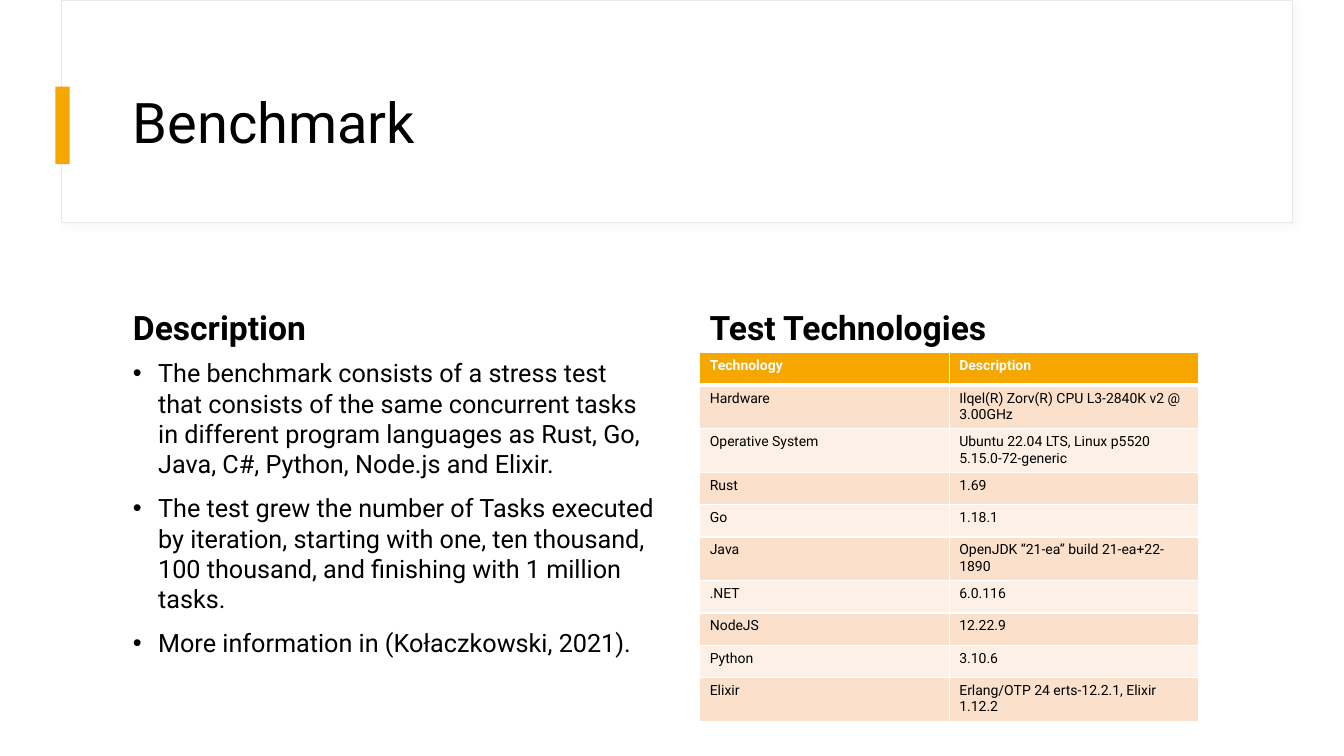
from dataclasses import dataclass

from lxml import etree
from pptx import Presentation
from pptx.dml.color import RGBColor
from pptx.enum.shapes import MSO_SHAPE
from pptx.enum.text import MSO_ANCHOR
from pptx.oxml.ns import qn
from pptx.util import Inches, Pt

RECTANGLE = MSO_SHAPE.RECTANGLE
TOP, MIDDLE, BOTTOM = MSO_ANCHOR.TOP, MSO_ANCHOR.MIDDLE, MSO_ANCHOR.BOTTOM


@dataclass(frozen=True)
class Theme:
    font: str = "Roboto"
    ink: str = "000000"
    paper: str = "FFFFFF"
    accent: str = "F5A700"
    frame: str = "E9E9E9"
    shadow: str = "D9D9D9"
    bands: tuple = ("FBE1CC", "FDF1E7")
    title: int = 40
    heading: int = 24
    body: int = 18
    table: int = 10


THEME = Theme()

SLIDE_WIDTH, SLIDE_HEIGHT = 13.33, 7.5
MARGIN = 1.22
COLUMN_WIDTH, GUTTER = 5.38, 0.34
HEADING_TOP, HEADING_HEIGHT = 2.59, 0.9
CONTENT_TOP = 3.5
TABLE_WIDTH, ROW_HEIGHT = 4.95, 0.32

BULLETS = (
    "The benchmark consists of a stress test that consists of the same concurrent "
    "tasks in different program languages as Rust, Go, Java, C#, Python, Node.js and Elixir.",
    "The test grew the number of Tasks executed by iteration, starting with one, "
    "ten thousand, 100 thousand, and finishing with 1 million tasks.",
    "More information in (Kołaczkowski, 2021).",
)

TECHNOLOGIES = (
    ("Technology", "Description"),
    ("Hardware", "Ilqel(R) Zorv(R) CPU L3-2840K v2 @ 3.00GHz"),
    ("Operative System", "Ubuntu 22.04 LTS, Linux p5520 5.15.0-72-generic"),
    ("Rust", "1.69"),
    ("Go", "1.18.1"),
    ("Java", "OpenJDK “21-ea” build 21-ea+22-1890"),
    (".NET", "6.0.116"),
    ("NodeJS", "12.22.9"),
    ("Python", "3.10.6"),
    ("Elixir", "Erlang/OTP 24 erts-12.2.1, Elixir 1.12.2"),
)


def column_left(index):
    return MARGIN + index * (COLUMN_WIDTH + GUTTER)


def box(left, top, width, height):
    return [Inches(length) for length in (left, top, width, height)]


def add_child(parent, tag, **attributes):
    return etree.SubElement(parent, qn(tag), attributes)


def add_run(paragraph, text, size, color=THEME.ink, bold=False):
    run = paragraph.add_run()
    run.text = text
    run.font.name = THEME.font
    run.font.size = Pt(size)
    run.font.bold = bold
    run.font.color.rgb = RGBColor.from_string(color)


def add_panel(slide, area, fill, outline=None):
    panel = slide.shapes.add_shape(RECTANGLE, *box(*area))
    panel.shadow.inherit = False
    panel.fill.solid()
    panel.fill.fore_color.rgb = RGBColor.from_string(fill)
    if outline:
        panel.line.color.rgb = RGBColor.from_string(outline)
        panel.line.width = Pt(0.75)
    else:
        panel.line.fill.background()
    return panel


def cast_shadow(panel):
    """Give the panel a soft shadow towards the lower right."""
    effects = panel._element.spPr.find(qn("a:effectLst"))
    shadow = add_child(effects, "a:outerShdw", blurRad=str(Pt(4)), dist=str(Pt(3)),
                       dir="2700000", algn="tl", rotWithShape="0")
    color = add_child(shadow, "a:srgbClr", val=THEME.shadow)
    add_child(color, "a:alpha", val="15000")


def add_text(slide, area, texts, size, anchor=TOP, spacing=1.0, bold=False, bulleted=False):
    frame = slide.shapes.add_textbox(*box(*area)).text_frame
    frame.word_wrap = True
    frame.vertical_anchor = anchor
    for index, text in enumerate(texts):
        paragraph = frame.add_paragraph() if index else frame.paragraphs[0]
        if bulleted:
            add_bullet(paragraph)
        paragraph.line_spacing = spacing
        if index:
            paragraph.space_before = Pt(10)
        add_run(paragraph, text, size, bold=bold)


def add_bullet(paragraph):
    properties = paragraph._p.get_or_add_pPr()
    properties.set("marL", str(Inches(0.25)))
    properties.set("indent", str(-Inches(0.25)))
    add_child(properties, "a:buFont", typeface="Arial")
    add_child(properties, "a:buChar", char="•")


def add_heading(slide, column, text):
    area = (column_left(column), HEADING_TOP, COLUMN_WIDTH, HEADING_HEIGHT)
    add_text(slide, area, [text], THEME.heading, BOTTOM, spacing=1.1, bold=True)


def style_cell(cell, fill, top, bottom):
    """Border widths are in points; borders must come before the fill."""
    properties = cell._tc.get_or_add_tcPr()
    for side, width in (("L", 1), ("R", 1), ("T", top), ("B", bottom)):
        border = add_child(properties, f"a:ln{side}", w=str(Pt(width)))
        add_child(add_child(border, "a:solidFill"), "a:srgbClr", val=THEME.paper)
    cell.fill.solid()
    cell.fill.fore_color.rgb = RGBColor.from_string(fill)


def add_technology_table(slide, left, top):
    row_count, column_count = len(TECHNOLOGIES), len(TECHNOLOGIES[0])
    area = box(left, top, TABLE_WIDTH, row_count * ROW_HEIGHT)
    table = slide.shapes.add_table(row_count, column_count, *area).table
    for row, values in enumerate(TECHNOLOGIES):
        header = row == 0
        fill = THEME.accent if header else THEME.bands[(row - 1) % 2]
        color = THEME.paper if header else THEME.ink
        for column, text in enumerate(values):
            cell = table.cell(row, column)
            style_cell(cell, fill, top=3 if row == 1 else 1, bottom=3 if header else 1)
            add_run(cell.text_frame.paragraphs[0], text, THEME.table, color, bold=header)


def main():
    deck = Presentation()
    deck.slide_width, deck.slide_height = Inches(SLIDE_WIDTH), Inches(SLIDE_HEIGHT)
    slide = deck.slides.add_slide(deck.slide_layouts[6])

    cast_shadow(add_panel(slide, (0.61, 0, 12.21, 2.21), THEME.paper, THEME.frame))
    add_panel(slide, (0.55, 0.86, 0.14, 0.77), THEME.accent)
    title_width = 2 * COLUMN_WIDTH + GUTTER
    add_text(slide, (MARGIN, 0.6, title_width, 1.29), ["Benchmark"],
             THEME.title, MIDDLE, spacing=0.9)

    add_heading(slide, 0, "Description")
    add_text(slide, (column_left(0), CONTENT_TOP, COLUMN_WIDTH, 3.25), BULLETS,
             THEME.body, bulleted=True)

    add_heading(slide, 1, "Test Technologies")
    add_technology_table(slide, column_left(1), CONTENT_TOP)
    deck.save("out.pptx")


if __name__ == "__main__":
    main()
